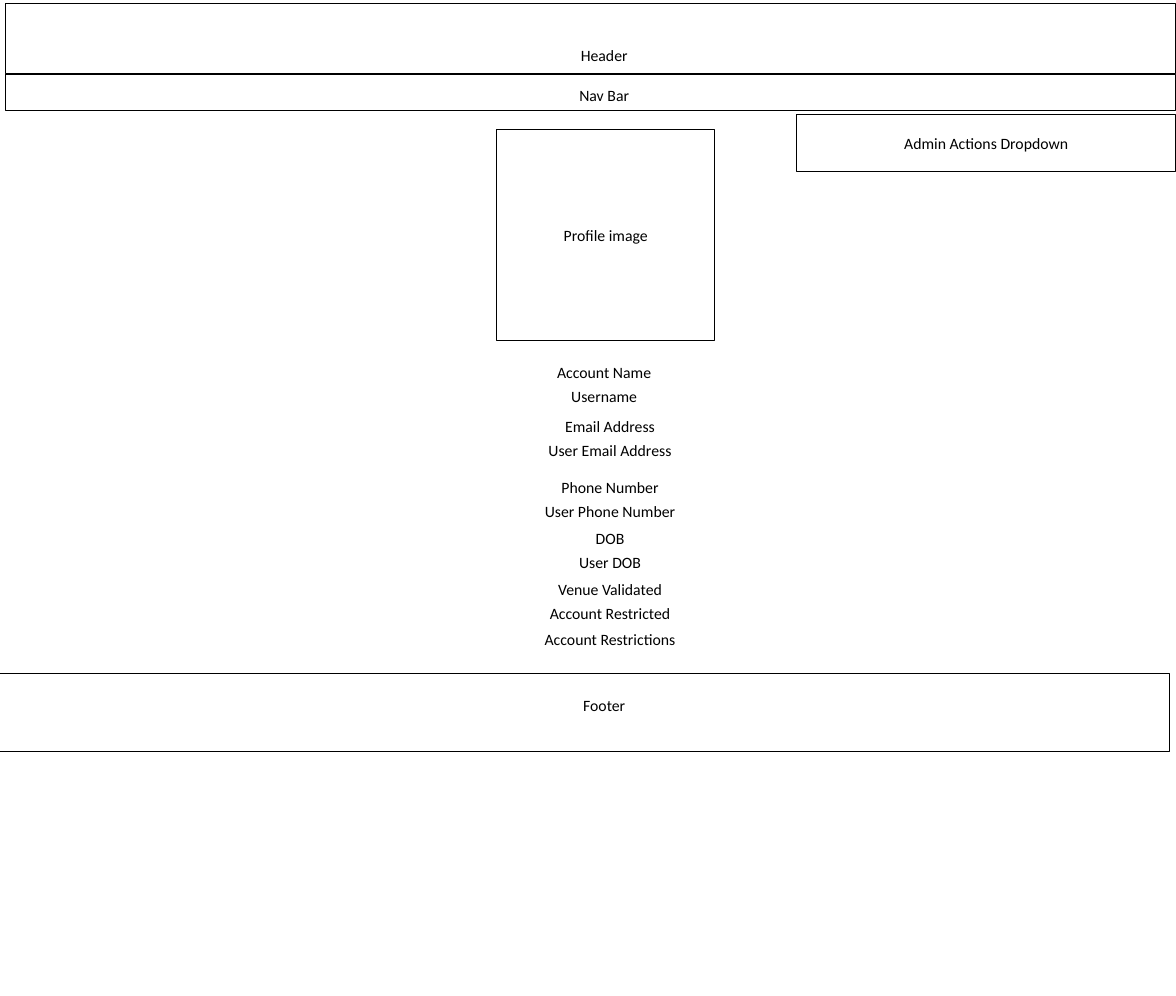
"""Builds the wireframe of a user profile page, measured in percent of the slide."""
from pptx import Presentation
from pptx.dml.color import RGBColor
from pptx.enum.shapes import MSO_SHAPE as SHAPE
from pptx.enum.text import MSO_ANCHOR as ANCHOR, MSO_AUTO_SIZE as AUTO, PP_ALIGN as ALIGN
from pptx.util import Inches, Pt

BLACK = RGBColor(0x00, 0x00, 0x00)
FONT, SIZE = "Calibri", Pt(15.2)
WIDTH, HEIGHT = Inches(15.75), Pt(960)
LABEL_LEFT, FIELD_LEFT = 35.6, 36.1
LABEL_WIDTH, LABEL_HEIGHT = 31.56, 2.7
ROW_STEP = 2.4

FRAMES = [
    (0.44, 0.32, 99.56, 7.05, ""),
    (0.44, 7.5, 99.56, 3.6, ""),
    (-0.54, 67.59, 100, 7.9, ""),
    (42.23, 12.98, 18.57, 21.18, "Profile image"),
    (67.75, 11.48, 32.25, 5.7, "Admin Actions Dropdown"),
]
LABEL_GROUPS = [
    (LABEL_LEFT, 8.22, ["Nav Bar"]),
    (LABEL_LEFT, 36.08, ["Account Name", "Username"]),
    (FIELD_LEFT, 41.49, ["Email Address", "User Email Address"]),
    (FIELD_LEFT, 47.6, ["Phone Number", "User Phone Number"]),
    (FIELD_LEFT, 52.7, ["DOB", "User DOB"]),
    (FIELD_LEFT, 57.8, ["Venue Validated", "Account Restricted"]),
    (FIELD_LEFT, 62.9, ["Account Restrictions"]),
    (LABEL_LEFT, 69.5, ["Footer"]),
]


def box(left, top, width, height):
    """Turn percentages of the slide into lengths."""
    return (int(WIDTH * left / 100), int(HEIGHT * top / 100),
            int(WIDTH * width / 100), int(HEIGHT * height / 100))


def write(tf, text, anchor):
    """Write one centred line in the wireframe's font."""
    tf.word_wrap = True
    tf.vertical_anchor = anchor
    p = tf.paragraphs[0]
    p.text = text
    p.alignment = ALIGN.CENTER
    p.font.name, p.font.size = FONT, SIZE
    p.font.color.rgb = BLACK


def add_frame(slide, left, top, width, height, text):
    """Draw an outlined page region, with its name if it has one."""
    sp = slide.shapes.add_shape(SHAPE.RECTANGLE, *box(left, top, width, height))
    sp.shadow.inherit = False
    sp.fill.background()
    sp.line.color.rgb = BLACK
    sp.line.width = Pt(1)
    if text:
        write(sp.text_frame, text, ANCHOR.MIDDLE)


def write_label(sp, text):
    """Fill a label that grows with its text."""
    write(sp.text_frame, text, ANCHOR.TOP)
    sp.text_frame.auto_size = AUTO.SHAPE_TO_FIT_TEXT


def add_labels(slide, left, top, texts):
    """Stack a group of labels in evenly spaced rows."""
    for row, text in enumerate(texts):
        place = box(left, top + row * ROW_STEP, LABEL_WIDTH, LABEL_HEIGHT)
        write_label(slide.shapes.add_textbox(*place), text)


def set_title(slide, left, top, text):
    """Move the title placeholder into the header and fill it."""
    sp = slide.shapes.title
    sp.left, sp.top, sp.width, sp.height = box(left, top, LABEL_WIDTH, LABEL_HEIGHT)
    write_label(sp, text)


def main():
    """Build and save the slide."""
    prs = Presentation()
    prs.slide_width, prs.slide_height = WIDTH, HEIGHT
    slide = prs.slides.add_slide(prs.slide_layouts.get_by_name("Title Only"))
    set_title(slide, LABEL_LEFT, 4.22, "Header")
    for frame in FRAMES:
        add_frame(slide, *frame)
    for group in LABEL_GROUPS:
        add_labels(slide, *group)
    prs.save("out.pptx")


if __name__ == "__main__":
    main()
